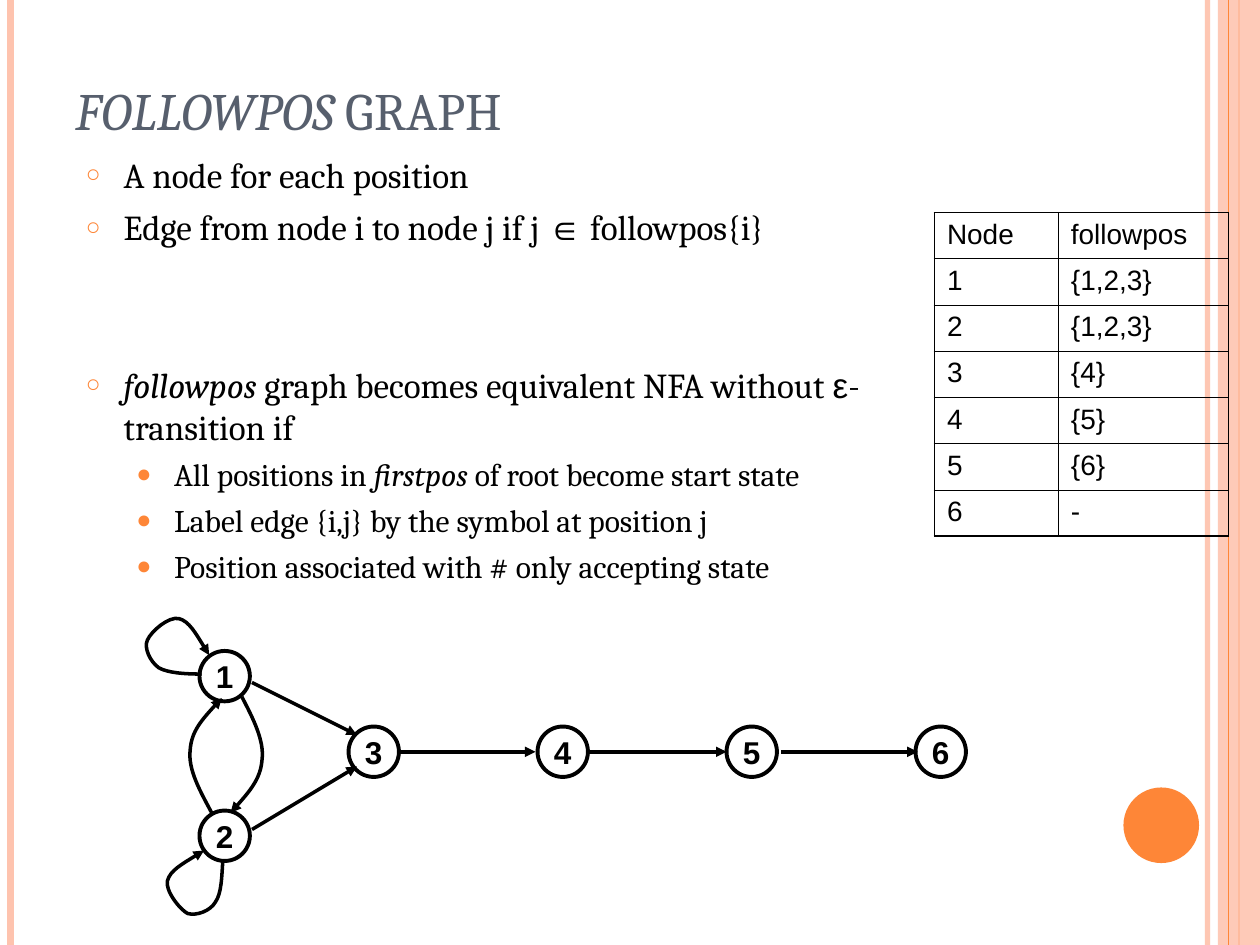
from lxml.etree import SubElement
from pptx import Presentation
from pptx.dml.color import RGBColor
from pptx.enum.shapes import MSO_CONNECTOR, MSO_SHAPE
from pptx.enum.text import MSO_ANCHOR, PP_ALIGN
from pptx.oxml import parse_xml
from pptx.oxml.ns import nsdecls, qn
from pptx.util import Inches, Pt

COLORS = {"ink": "000000", "title": "575F6D", "orange": "FE8637", "peach": "FEC3AE"}
COLS, ROWS = 120, 90  # the slide as a grid of 1/12 inch squares


def u(n):
    """Length of n grid units."""
    return Inches(n / 12)


def rgb(name):
    return RGBColor.from_string(COLORS[name])


def set_alpha(fill_parent, percent):
    clr = fill_parent.find(".//" + qn("a:srgbClr"))
    SubElement(clr, qn("a:alpha")).set("val", str(percent * 1000))


def style_line(s, color, width, arrow=False):
    s.line.color.rgb = rgb(color)
    s.line.width = Pt(width)
    if arrow:
        SubElement(s.line._get_or_add_ln(), qn("a:tailEnd")).set("type", "triangle")


def add_line(slide, start, end, color, width, arrow=False):
    s = slide.shapes.add_connector(MSO_CONNECTOR.STRAIGHT, *map(u, start + end))
    style_line(s, color, width, arrow)
    SubElement(s._element.spPr, qn("a:effectLst"))
    return s


def add_preset(slide, kind, box, fill=None):
    s = slide.shapes.add_shape(kind, *map(u, box))
    s.shadow.inherit = False
    s.line.fill.background()
    if fill:
        s.fill.solid()
        s.fill.fore_color.rgb = rgb(fill)
    else:
        s.fill.background()
    return s


def add_run(p, text, size, color="ink", font="Cambria", italic=False, bold=False):
    r = p.add_run()
    r.text = text
    f = r.font
    f.name, f.size, f.italic, f.bold = font, Pt(size), italic, bold
    f.color.rgb = rgb(color)


def add_text_frame(slide, box):
    tf = slide.shapes.add_textbox(*map(u, box)).text_frame
    tf.word_wrap = True
    return tf


def add_decoration(slide):
    def rule(x, color, width):
        return add_line(slide, (x, 0), (x, ROWS), color, width)

    set_alpha(rule(115, "peach", 3)._element.spPr, 93)
    rule(1, "peach", 4.5)
    rule(118, "orange", 1.5)
    band = add_preset(slide, MSO_SHAPE.RECTANGLE, (116, 0, COLS - 116, ROWS), "peach")
    set_alpha(band._element.spPr, 87)
    rule(117, "orange", 0.75)
    add_preset(slide, MSO_SHAPE.OVAL, (107, 75, 7.2, 7.2), "orange")


def add_title(slide, box):
    tf = add_text_frame(slide, box)
    tf.vertical_anchor = MSO_ANCHOR.BOTTOM
    p = tf.paragraphs[0]
    add_run(p, "FOLLOWPOS", 30, "title", italic=True)
    add_run(p, " GRAPH", 30, "title")


def set_bullet(p, char, size, indent):
    pPr = p._p.get_or_add_pPr()
    pPr.set("marL", str(Inches(indent)))
    pPr.set("indent", str(-Inches(0.3)))
    clr = SubElement(pPr, qn("a:buClr"))
    SubElement(clr, qn("a:srgbClr")).set("val", COLORS["orange"])
    SubElement(pPr, qn("a:buSzPct")).set("val", str(size * 1000))
    SubElement(pPr, qn("a:buFont")).set("typeface", "Arial")
    SubElement(pPr, qn("a:buChar")).set("char", char)


def add_bullets(slide, box):
    """Each item: level, space before, then runs of (text, style)."""
    arial, italic = {"font": "Arial"}, {"italic": True}
    items = [
        (0, 0, [("A node for each position", {})]),
        (0, 6, [("Edge from node i to node j if j ", {}), ("∈", arial),
                (" followpos{i}", {})]),
        (0, 66, [("followpos", italic),
                 (" graph becomes equivalent NFA without ", {}),
                 ("ε", arial), ("-transition if", {})]),
        (1, 4.5, [("All positions in ", {}), ("firstpos", italic),
                  (" of root become start state", {})]),
        (1, 4.5, [("Label edge {i,j} by the symbol at position j", {})]),
        (1, 4.5, [("Position associated with # only accepting state", {})]),
    ]
    levels = [("○", 70, 0.3, 20), ("●", 80, 0.7, 18)]
    tf = add_text_frame(slide, box)
    for i, (level, before, runs) in enumerate(items):
        p = tf.add_paragraph() if i else tf.paragraphs[0]
        char, bullet_size, indent, size = levels[level]
        p.level = level
        set_bullet(p, char, bullet_size, indent)
        if before:
            p.space_before = Pt(before)
        for text, style in runs:
            add_run(p, text, size, **style)


def set_borders(cell, outer):
    """Draw thick lines on the outer sides and thin ones on the others."""
    tcPr = cell._tc.get_or_add_tcPr()
    for i, side in enumerate("LRTB"):
        width = Pt(1.08 if side in outer else 0.45)
        tcPr.insert(i, parse_xml(
            f'<a:ln{side} {nsdecls("a")} w="{width}"><a:solidFill>'
            f'<a:srgbClr val="{COLORS["ink"]}"/></a:solidFill></a:ln{side}>'))


def add_followpos_table(slide, left, top):
    rows = [("Node", "followpos"), ("1", "{1,2,3}"), ("2", "{1,2,3}"),
            ("3", "{4}"), ("4", "{5}"), ("5", "{6}"), ("6", "-")]
    widths, height = (11.8, 16.2), 4.4
    table = slide.shapes.add_table(len(rows), 2, u(left), u(top), u(sum(widths)),
                                   u(height * len(rows))).table
    table.first_row = table.horz_banding = False
    for col, width in zip(table.columns, widths):
        col.width = u(width)
    for i, row in enumerate(rows):
        table.rows[i].height = u(height)
        for j, text in enumerate(row):
            cell = table.cell(i, j)
            cell.fill.background()
            outer = "LR"[j] + ("T" if i == 0 else "B" if i == len(rows) - 1 else "")
            set_borders(cell, outer)
            add_run(cell.text_frame.paragraphs[0], text, 16, font="Arial")


def add_curve(slide, points):
    """Arrow along joined cubic curves: a start, then three points for each."""
    pts = [(u(x), u(y)) for x, y in points]
    builder = slide.shapes.build_freeform(*pts[0])
    builder.add_line_segments(pts[1:], close=False)
    s = builder.convert_to_shape()
    s.shadow.inherit = False
    s.fill.background()
    style_line(s, "ink", 2, arrow=True)
    path = s._element.find(".//" + qn("a:path"))
    segments = path.findall(qn("a:lnTo"))
    for i in range(0, len(segments), 3):
        curve = SubElement(path, qn("a:cubicBezTo"))
        for segment in segments[i:i + 3]:
            curve.append(segment[0])
            path.remove(segment)


def add_graph(slide, left, top):
    def at(x, y):
        return left + x, top + y

    nodes = [(5, 4), (5, 19.2)] + [(19.2 + 18 * i, 11.2) for i in range(4)]
    for number, spot in enumerate(nodes, 1):
        s = add_preset(slide, MSO_SHAPE.OVAL, at(*spot) + (4.8, 4.8))
        style_line(s, "ink", 2.25)
        tf = s.text_frame
        tf.word_wrap = False
        tf.vertical_anchor = MSO_ANCHOR.MIDDLE
        tf.paragraphs[0].alignment = PP_ALIGN.CENTER
        add_run(tf.paragraphs[0], str(number), 18, font="Arial", bold=True)

    one_to_two = [(9.04, 8.36), (10.1, 10.4), (11.2, 12.56), (10.96, 14.36),
                  (10.84, 16.16), (9.4, 17.84), (7.96, 19.4)]
    two_to_one = [(6.16, 19.4), (5.08, 17.36), (3.88, 15.3), (4.12, 13.4),
                  (4.24, 11.6), (5.68, 10.04), (7.12, 8.48)]
    loop_one = [(5.2, 6.2), (3.52, 6.2), (1.96, 6.08), (1.12, 5.6), (0.28, 5),
                (-0.32, 3.68), (0.04, 2.96), (0.4, 2.12), (2.08, 0.68),
                (3.04, 0.92), (4, 1.16), (4.96, 2.84), (5.92, 4.4)]
    loop_two = [(7.24, 23.84), (7.12, 25.52), (7.12, 27.08), (6.52, 27.92),
                (6.04, 28.76), (4.72, 29.24), (3.88, 29), (3.16, 28.64),
                (1.72, 26.84), (1.96, 25.88), (2.2, 24.92), (3.88, 23.96),
                (5.44, 23)]
    for points in (one_to_two, two_to_one, loop_one, loop_two):
        add_curve(slide, [at(*pt) for pt in points])

    edges = [((10, 7), (20, 12)), ((10, 21), (20, 15))]
    edges += [((x, 13.6), (x + 13, 13.6)) for x in (24, 42.2, 60.4)]
    for start, end in edges:
        add_line(slide, at(*start), at(*end), "ink", 2, arrow=True)


def main():
    prs = Presentation()
    prs.slide_width, prs.slide_height = u(COLS), u(ROWS)
    slide = prs.slides.add_slide(prs.slide_layouts[6])
    add_decoration(slide)
    add_title(slide, (6, 3.6, 98, 10.4))
    add_bullets(slide, (7, 14, 78, 74))
    add_followpos_table(slide, 89, 20.25)
    add_graph(slide, 14, 58)
    prs.save("out.pptx")


if __name__ == "__main__":
    main()
